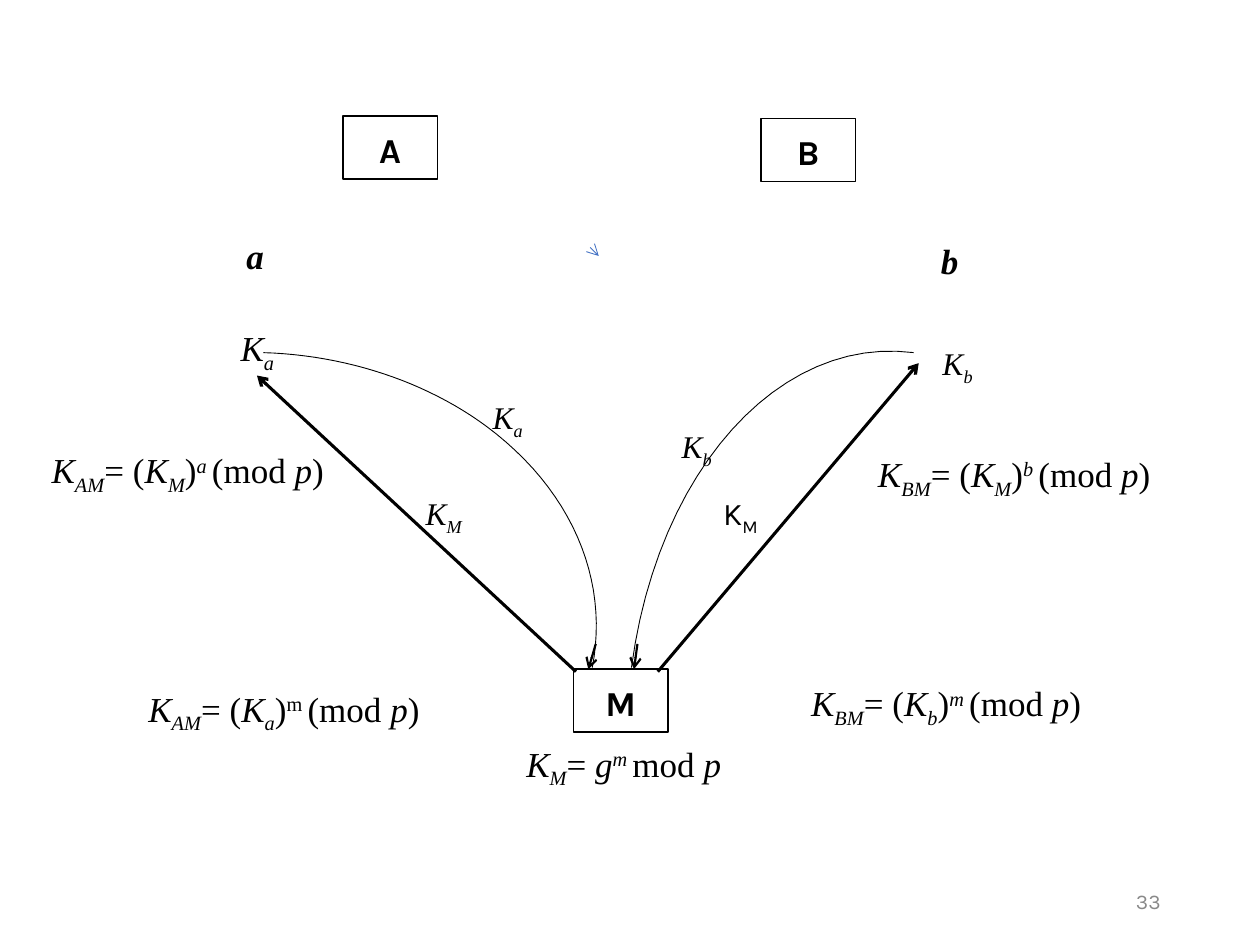
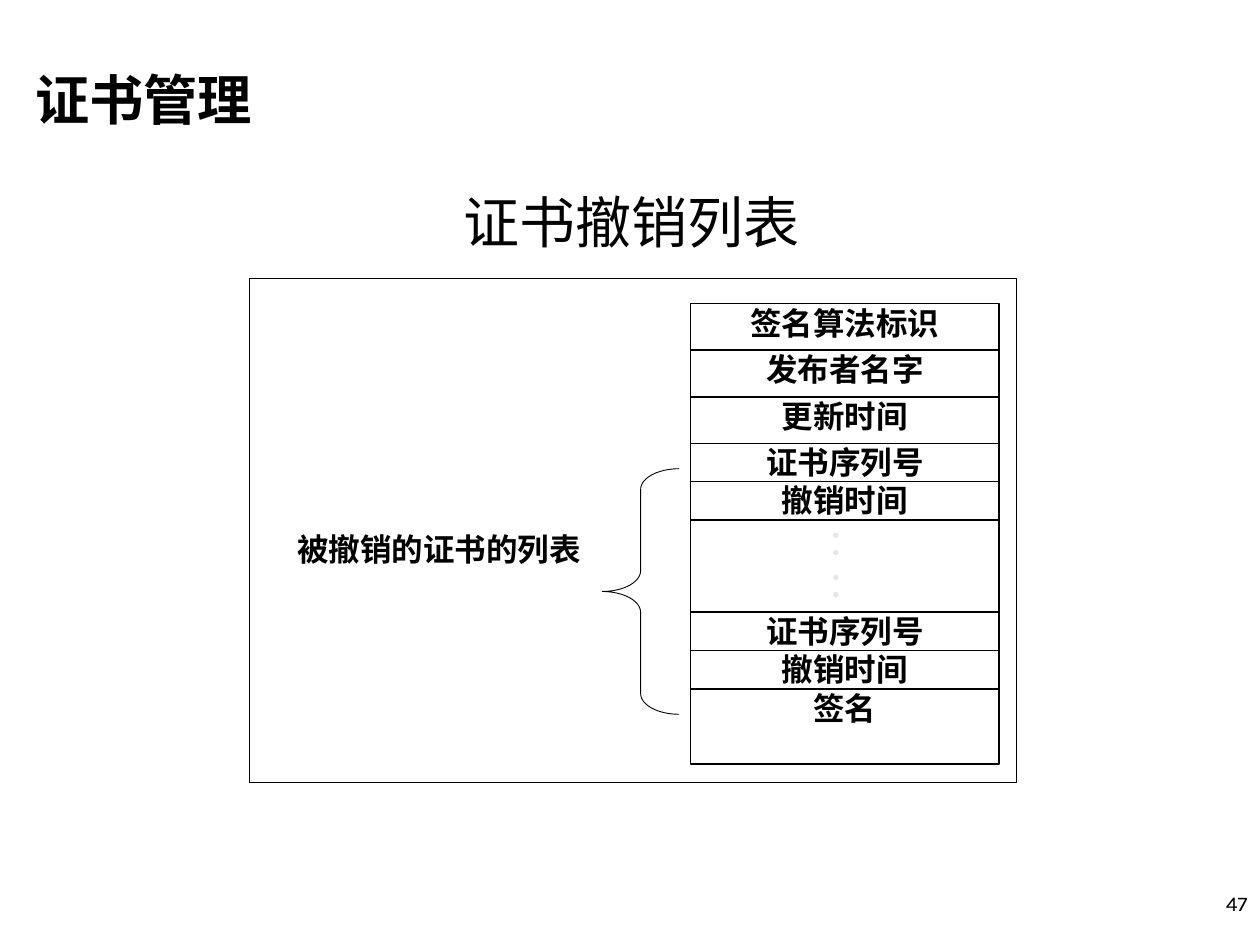
import pptx
import pptx.dml.color
import pptx.enum.shapes
import pptx.enum.text
import pptx.oxml.ns
import pptx.util
from lxml import etree

Cm, Pt = pptx.util.Cm, pptx.util.Pt
SHAPE = pptx.enum.shapes.MSO_SHAPE
ALIGN = pptx.enum.text.PP_ALIGN
ANCHOR = pptx.enum.text.MSO_ANCHOR
AUTO = pptx.enum.text.MSO_AUTO_SIZE
qn = pptx.oxml.ns.qn

# Shared style
COLORS = {"ink": "000000", "paper": "FFFFFF", "grey": "898989",
          "dots": "E7E6E6", "blue": "4472C4"}
SANS, SERIF, CJK = "Karla", "Times New Roman", "Noto Sans CJK SC"
TEXT_INSETS = (0.25, 0.13, 0.25, 0.13)
NO_INSETS = (0, 0, 0, 0)


# Slide 1 content: runs are (text, style); i italic, _ subscript, ^ superscript
def key(sub):
    return [("K", "i"), (sub, "i_")]


def shared_key(sub, base, exponent, style="i^"):
    return (key(sub) + [("= (", "")] + key(base)
            + [(")", ""), (exponent + " ", style), ("(mod ", ""),
               ("p", "i"), (")", "")])


PARTIES = [("A", 6.91, 2.34), ("B", 15.34, 2.39), ("M", 11.56, 13.49)]
PARTY_SIZE = (1.91, 1.27)

# runs, left, top, width, height, size, font, bold
FORMULAS = [
    ([("a", "i")], 4.72, 4.60, 0.95, 1.12, 20, SERIF, True),
    ([("b", "i")], 18.72, 4.70, 0.95, 1.12, 20, SERIF, True),
    (key("a"), 4.60, 6.45, 1.3, 1.22, 20, SERIF, False),
    (key("b"), 18.75, 6.81, 1.25, 1.12, 18, SERIF, False),
    (shared_key("AM", "M", "a"), 0.79, 8.92, 6.2, 1.22, 20, SERIF, False),
    (shared_key("BM", "M", "b"), 17.45, 8.99, 6.2, 1.22, 20, SERIF, False),
    (shared_key("AM", "a", "m", "^"), 2.74, 13.72, 6.76, 1.22, 20, SERIF, False),
    (shared_key("BM", "b", "m"), 16.10, 13.61, 6.2, 1.22, 20, SERIF, False),
    (key("M") + [("= ", ""), ("g", "i"), ("m ", "i^"), ("mod ", ""), ("p", "i")],
     10.36, 14.83, 4.7, 1.22, 20, SERIF, False),
    (key("M"), 8.33, 9.83, 1.4, 1.12, 18, SERIF, False),
    ([("K", ""), ("M", "_")], 14.33, 9.83, 1.4, 1.12, 18, SANS, False),
    (key("a"), 9.68, 7.90, 1.25, 1.12, 18, SERIF, False),
    (key("b"), 13.49, 8.48, 1.25, 1.12, 18, SERIF, False),
]

# start, end, width, colour
ARROWS = [
    ((11.61, 13.54), (5.18, 7.57), 1.75, "ink"),
    ((13.26, 13.54), (18.52, 7.32), 1.75, "ink"),
    ((12.01, 12.98), (11.86, 13.49), 1.25, "ink"),
    ((12.85, 12.98), (12.78, 13.49), 1.25, "ink"),
    ((12.05, 5.14), (12.07, 5.16), 0.5, "blue"),
]

# Each curve: start point, then cubic segments (control, control, end)
CURVES = [
    ((5.31, 7.11), [((6.99, 7.16), (8.59, 7.70), (9.80, 8.59)),
                    ((11.51, 9.86), (12.29, 11.66), (11.94, 13.46))]),
    ((12.73, 13.46), [((13.26, 9.47), (15.72, 6.76), (18.42, 7.11))]),
]
CURVE_STEPS = 24

# Slide 2 content: revocation list fields as (lines, height)
ENTRY = ["证书序列号", "撤销时间"]
GAP = ["：", "："]
FIELDS = [(["签名算法标识"], 0.94), (["发布者名字"], 0.94), (["更新时间"], 0.94),
          (ENTRY, 1.55), (GAP, 1.85), (ENTRY, 1.55), (["签名"], 1.52)]
FIELD_LEFT, FIELD_TOP, FIELD_WIDTH = 13.92, 6.12, 6.22


def rgb(name):
    return pptx.dml.color.RGBColor.from_string(COLORS[name])


def cm(*values):
    return [Cm(v) for v in values]


def set_frame(tf, insets, anchor=ANCHOR.TOP):
    tf.margin_left, tf.margin_top, tf.margin_right, tf.margin_bottom = cm(*insets)
    tf.vertical_anchor, tf.word_wrap, tf.auto_size = anchor, True, AUTO.NONE


def style_paragraph(p, size, font, color="ink", bold=False, align=ALIGN.LEFT):
    p.alignment = align
    f = p.font
    f.size, f.name, f.bold = Pt(size), font, bold
    f.color.rgb = rgb(color)
    if font == CJK:
        latin = p._p.pPr.find(qn("a:defRPr")).find(qn("a:latin"))
        ea = etree.Element(qn("a:ea"), typeface=font)
        latin.addnext(ea)


def write_lines(tf, lines, *style, **options):
    for n, line in enumerate(lines):
        p = tf.add_paragraph() if n else tf.paragraphs[0]
        p.text = line
        style_paragraph(p, *style, **options)


def add_box(slide, kind, at, width=None, fill="paper"):
    sp = slide.shapes.add_shape(kind, *cm(*at))
    sp.shadow.inherit = False
    if fill:
        sp.fill.solid()
        sp.fill.fore_color.rgb = rgb(fill)
    else:
        sp.fill.background()
    set_line(sp.line, width)
    return sp


def set_line(line, width, color="ink"):
    if width:
        line.width = Pt(width)
        line.color.rgb = rgb(color)
    else:
        line.fill.background()


def add_line(slide, start, end, width, color="ink", arrow=False):
    cx = slide.shapes.add_connector(
        pptx.enum.shapes.MSO_CONNECTOR.STRAIGHT, *cm(*start, *end))
    set_line(cx.line, width, color)
    spPr = cx._element.spPr
    if arrow:
        etree.SubElement(spPr.find(qn("a:ln")), qn("a:tailEnd"), type="arrow")
    etree.SubElement(spPr, qn("a:effectLst"))


def add_curve(slide, start, segments):
    points, p0 = [], start
    for c1, c2, p1 in segments:
        for n in range(1, CURVE_STEPS + 1):
            t = n / CURVE_STEPS
            u = 1 - t
            points.append(cm(*(u**3 * a + 3 * u * u * t * b + 3 * u * t * t * c + t**3 * d
                               for a, b, c, d in zip(p0, c1, c2, p1))))
        p0 = p1
    builder = slide.shapes.build_freeform(*cm(*start))
    builder.add_line_segments(points, close=False)
    sp = builder.convert_to_shape()
    sp.shadow.inherit = False
    sp.fill.background()
    set_line(sp.line, 0.5)


def add_formula(slide, runs, left, top, width, height, size, font, bold):
    tf = slide.shapes.add_textbox(*cm(left, top, width, height)).text_frame
    set_frame(tf, TEXT_INSETS)
    p = tf.paragraphs[0]
    style_paragraph(p, size, font, bold=bold)
    for text, style in runs:
        r = p.add_run()
        r.text = text
        r.font.italic = "i" in style
        for mark, shift in (("_", "-25000"), ("^", "30000")):
            if mark in style:
                r._r.get_or_add_rPr().set("baseline", shift)


def add_page_number(slide, number, at, color):
    tf = slide.shapes.add_textbox(*cm(*at)).text_frame
    set_frame(tf, TEXT_INSETS, ANCHOR.MIDDLE)
    write_lines(tf, [number], 12, SANS, color, align=ALIGN.RIGHT)


def build_key_exchange(prs):
    slide = prs.slides.add_slide(prs.slide_layouts[6])
    add_page_number(slide, "33", (17.93, 17.65, 5.72, 1.02), "grey")
    for name, left, top in PARTIES:
        sp = add_box(slide, SHAPE.RECTANGLE, (left, top, *PARTY_SIZE), 1, None)
        set_frame(sp.text_frame, (0, 0.06, 0, 0), ANCHOR.MIDDLE)
        write_lines(sp.text_frame, [name], 20, SANS, bold=True, align=ALIGN.CENTER)
    for formula in FORMULAS:
        add_formula(slide, *formula)
    for curve in CURVES:
        add_curve(slide, *curve)
    for arrow in ARROWS:
        add_line(slide, *arrow, arrow=True)


def build_revocation_list(prs):
    slide = prs.slides.add_slide(prs.slide_layouts[5])

    # Title and section heading
    title = slide.shapes.title
    title.left, title.top, title.width, title.height = cm(3.43, 3.18, 18.62, 2.74)
    set_frame(title.text_frame, TEXT_INSETS, ANCHOR.MIDDLE)
    write_lines(title.text_frame, ["证书撤销列表"], 32, CJK, align=ALIGN.CENTER)
    p = title.text_frame.paragraphs[0]
    p.line_spacing, p.space_before = 0.9, Pt(8)
    tf = slide.shapes.add_textbox(*cm(0.46, 1.07, 12.27, 1.70)).text_frame
    set_frame(tf, TEXT_INSETS, ANCHOR.BOTTOM)
    write_lines(tf, ["证书管理"], 31, CJK, bold=True)
    tf.paragraphs[0].line_spacing = 0.8
    add_page_number(slide, "47", (20.12, 17.58, 5.28, 1.27), "ink")

    # Frame, label and brace
    add_box(slide, SHAPE.RECTANGLE, (5.03, 5.61, 15.47, 10.16), 0.75)
    label = add_box(slide, SHAPE.RECTANGLE, (5.82, 10.69, 6.07, 3.00))
    set_frame(label.text_frame, NO_INSETS)
    write_lines(label.text_frame, ["被撤销的证书的列表"], 18, CJK, bold=True,
                align=ALIGN.CENTER)
    brace = add_box(slide, SHAPE.LEFT_BRACE, (12.14, 9.45, 1.55, 4.95), 0.5)
    brace.adjustments[0] = 0.27

    # Stacked fields; each entry is split by a thin line
    top = FIELD_TOP
    for lines, height in FIELDS:
        sp = add_box(slide, SHAPE.RECTANGLE, (FIELD_LEFT, top, FIELD_WIDTH, height), 1)
        set_frame(sp.text_frame, NO_INSETS)
        size, color, bold = (20, "dots", False) if lines is GAP else (18, "ink", True)
        write_lines(sp.text_frame, lines, size, CJK, color, bold, ALIGN.CENTER)
        if lines is ENTRY:
            middle = top + height / 2
            add_line(slide, (FIELD_LEFT, middle), (FIELD_LEFT + FIELD_WIDTH, middle), 0.5)
        top += height


def main():
    prs = pptx.Presentation()
    prs.slide_width, prs.slide_height = cm(25.4, 19.05)
    build_key_exchange(prs)
    build_revocation_list(prs)
    prs.save("out.pptx")


if __name__ == "__main__":
    main()
